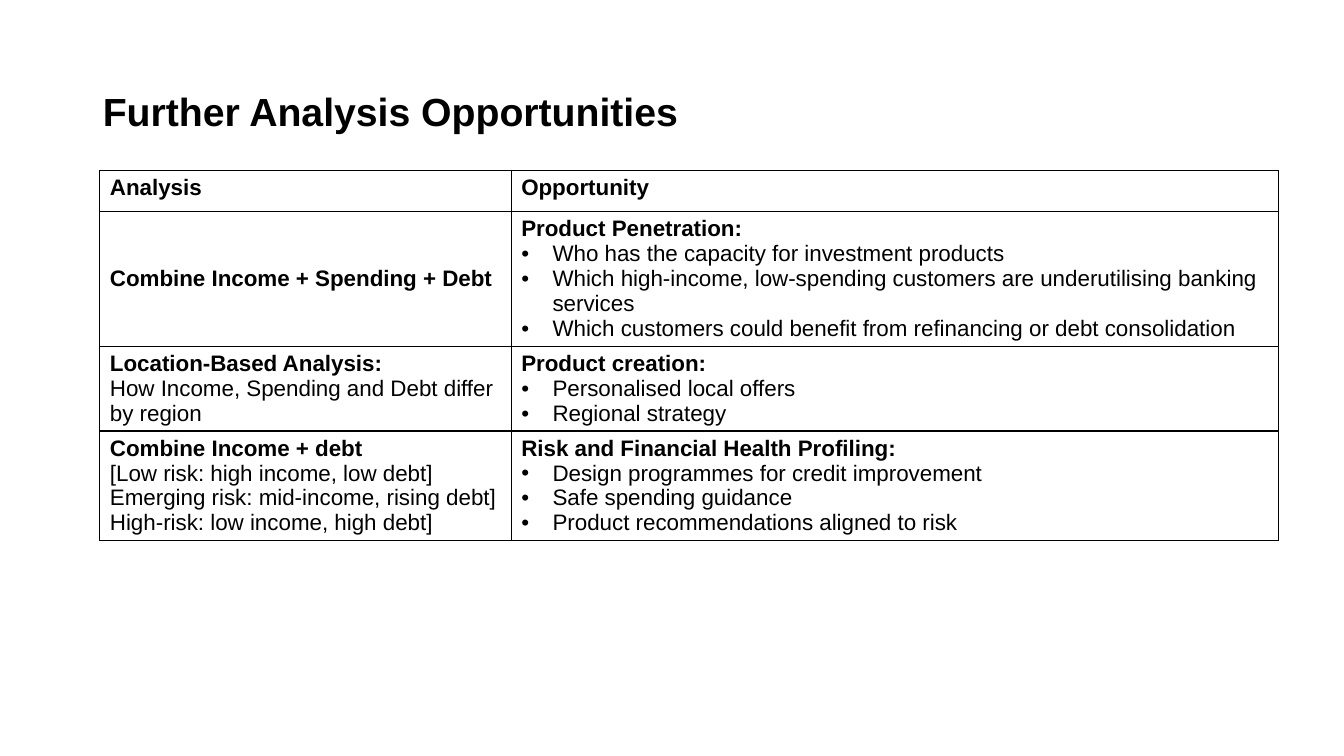
from lxml.etree import SubElement
from pptx import Presentation
from pptx.dml.color import RGBColor
from pptx.enum.text import MSO_ANCHOR, PP_ALIGN
from pptx.oxml.ns import qn
from pptx.util import Inches, Pt

FONT = "Arial"
INK = "000000"
WIDTH, HEIGHT = 13.33, 7.5
COLUMN_WIDTHS = (4.08, 7.61)
ROW_HEIGHT = 0.41
BULLET_INDENT = 0.31
COMBINED_ROW = 1

# Each cell is a bold heading, its plain lines, and whether those lines are bulleted.
ROWS = [
    [("Analysis", [], False), ("Opportunity", [], False)],
    [
        ("Combine Income + Spending + Debt", [], False),
        ("Product Penetration:", [
            "Who has the capacity for investment products",
            "Which high-income, low-spending customers are underutilising banking services",
            "Which customers could benefit from refinancing or debt consolidation",
        ], True),
    ],
    [
        ("Location-Based Analysis:", ["How Income, Spending and Debt differ by region"], False),
        ("Product creation:", ["Personalised local offers", "Regional strategy"], True),
    ],
    [
        ("Combine Income + debt", [
            "[Low risk: high income, low debt]",
            "Emerging risk: mid-income, rising debt]",
            "High-risk: low income, high debt]",
        ], False),
        ("Risk and Financial Health Profiling:", [
            "Design programmes for credit improvement",
            "Safe spending guidance",
            "Product recommendations aligned to risk",
        ], True),
    ],
]


def color(value):
    return RGBColor.from_string(value)


def add_run(paragraph, text, size, bold):
    run = paragraph.add_run()
    run.text = text
    run.font.name = FONT
    run.font.size = Pt(size)
    run.font.bold = bold
    run.font.color.rgb = color(INK)


def add_bullet(paragraph):
    properties = paragraph._p.get_or_add_pPr()
    properties.set("marL", str(Inches(BULLET_INDENT)))
    properties.set("indent", str(-Inches(BULLET_INDENT)))
    bullet_color = SubElement(properties, qn("a:buClr"))
    SubElement(bullet_color, qn("a:srgbClr"), val=INK)
    SubElement(properties, qn("a:buFont"), typeface=FONT)
    SubElement(properties, qn("a:buChar"), char="•")


def set_borders(cell):
    properties = cell._tc.get_or_add_tcPr()
    for side in ("lnL", "lnR", "lnT", "lnB"):
        line = SubElement(properties, qn(f"a:{side}"), w=str(Pt(1)))
        fill = SubElement(line, qn("a:solidFill"))
        SubElement(fill, qn("a:srgbClr"), val=INK)


def fill_cell(cell, heading, lines, bulleted):
    set_borders(cell)
    cell.fill.background()
    frame = cell.text_frame
    add_run(frame.paragraphs[0], heading, 16, True)
    for line in lines:
        paragraph = frame.add_paragraph()
        if bulleted:
            add_bullet(paragraph)
        add_run(paragraph, line, 16, False)


def add_title(slide, text):
    title = slide.shapes.title
    title.left, title.top = Inches(0.92), Inches(0.4)
    title.width, title.height = Inches(11.5), Inches(1.45)
    frame = title.text_frame
    frame.word_wrap = True
    frame.vertical_anchor = MSO_ANCHOR.MIDDLE
    paragraph = frame.paragraphs[0]
    paragraph.alignment = PP_ALIGN.LEFT
    paragraph.line_spacing = 0.9
    add_run(paragraph, text, 28, True)


def add_opportunity_table(slide):
    frame = slide.shapes.add_table(
        len(ROWS), len(COLUMN_WIDTHS), Inches(0.99), Inches(1.69),
        Inches(sum(COLUMN_WIDTHS)), Inches(ROW_HEIGHT * len(ROWS)))
    table = frame.table
    table.first_row = table.horz_banding = False
    for column, width in zip(table.columns, COLUMN_WIDTHS):
        column.width = Inches(width)
    for row, contents in zip(table.rows, ROWS):
        row.height = Inches(ROW_HEIGHT)
        for cell, content in zip(row.cells, contents):
            fill_cell(cell, *content)
    for cell in table.rows[COMBINED_ROW].cells:
        cell.vertical_anchor = MSO_ANCHOR.MIDDLE


def main():
    presentation = Presentation()
    presentation.slide_width = Inches(WIDTH)
    presentation.slide_height = Inches(HEIGHT)
    slide = presentation.slides.add_slide(presentation.slide_layouts.get_by_name("Title Only"))
    add_title(slide, "Further Analysis Opportunities")
    add_opportunity_table(slide)
    presentation.save("out.pptx")


if __name__ == "__main__":
    main()
